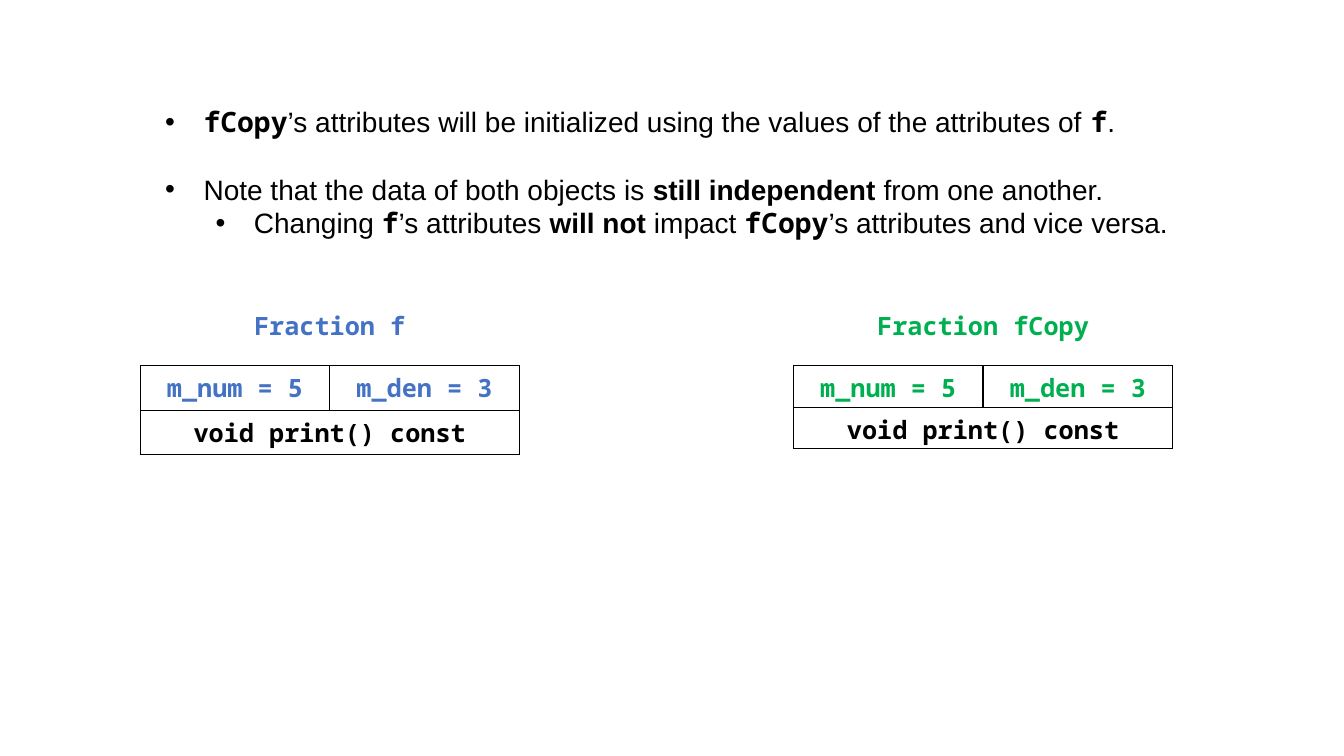
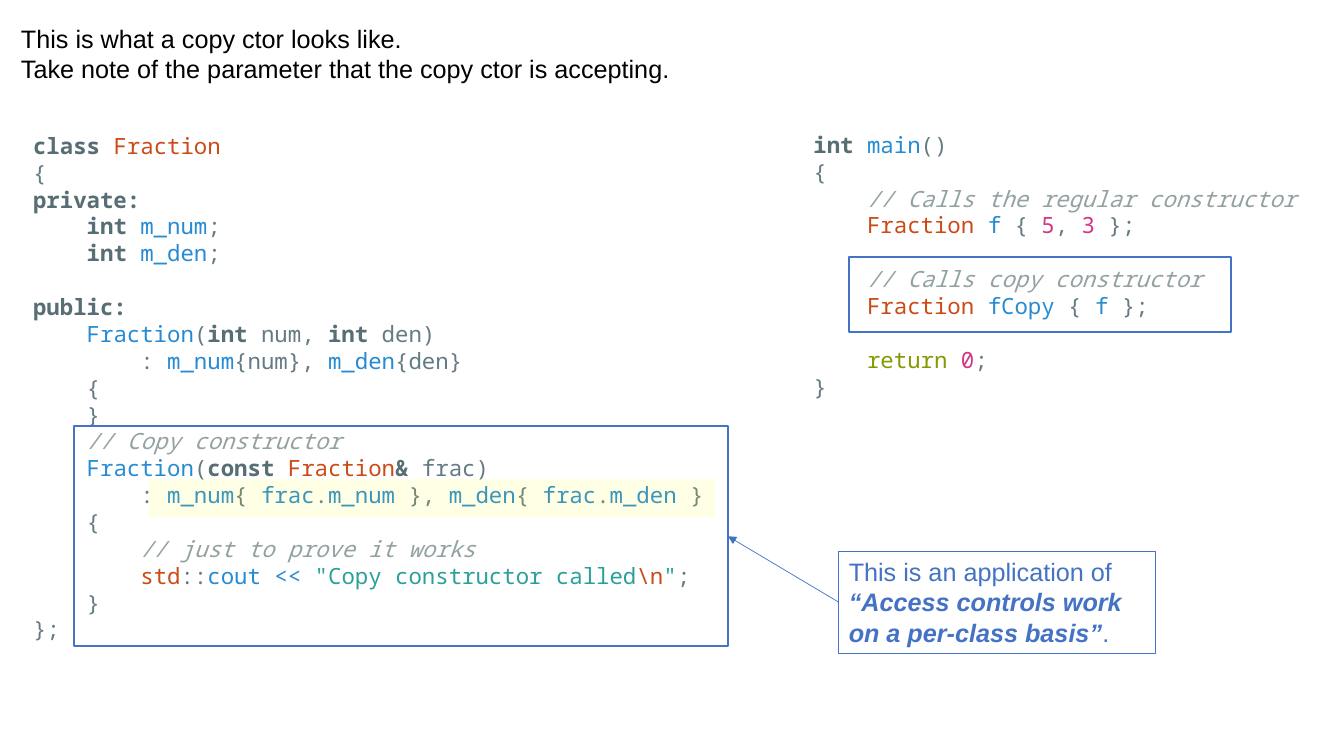
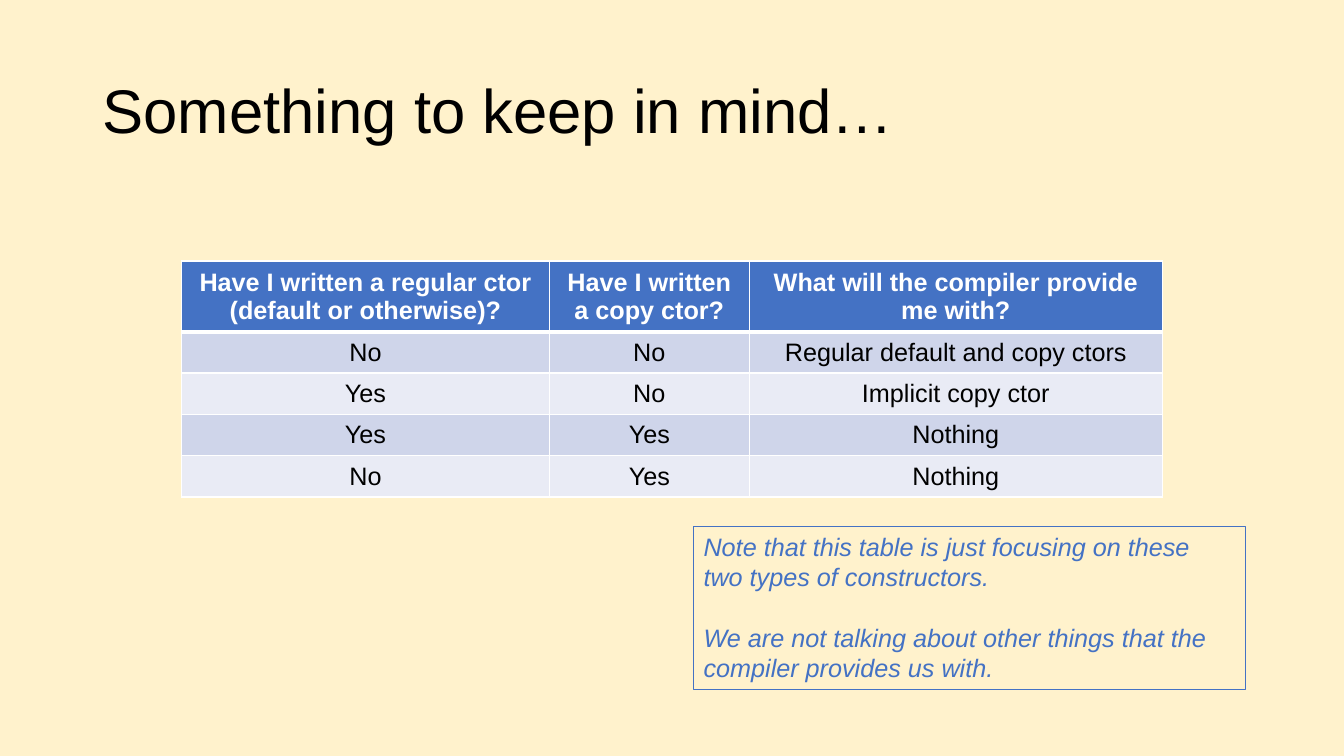
from dataclasses import dataclass

from lxml.etree import SubElement
from pptx import Presentation
from pptx.dml.color import RGBColor
from pptx.enum.shapes import MSO_CONNECTOR, MSO_SHAPE
from pptx.enum.text import MSO_ANCHOR, MSO_AUTO_SIZE, PP_ALIGN
from pptx.oxml.ns import qn
from pptx.util import Inches, Pt

SANS, MONO = "Arial", "Noto Sans Mono"
BLACK, WHITE, BLUE, GREEN = "000000", "FFFFFF", "4472C4", "00B050"
CREAM, YELLOW = "FFF2CC", "FFFF00"
BAND_DARK, BAND_LIGHT = "CFD5EA", "E9EBF5"
CODE_PLAIN = "657B83"
LINE_HEIGHT = 1.2

# A run is written "key:text"; runs are parted by "|"; a run with no key is plain.
RUN_STYLES = {
    "b": {"bold": True},
    "q": {"bold": True, "italic": True},
    "m": {"bold": True, "font": MONO},
    "k": {"bold": True, "color": "586E75"},
    "t": {"color": "CB4B16"},
    "n": {"color": "268BD2"},
    "c": {"color": "93A1A1", "italic": True},
    "s": {"color": "2AA198"},
    "d": {"color": "D33682"},
    "r": {"color": "859900"},
}

CLASS_CODE = [
    "k:class |t:Fraction",
    "{",
    "k:private:",
    "    |k:int |n:m_num|;",
    "    |k:int |n:m_den|;",
    "",
    "k:public:",
    "    |n:Fraction|(|k:int| num, |k:int| den)",
    "        : |n:m_num|{num}, |n:m_den|{den}",
    "    {",
    "    }",
    "c:    // Copy constructor",
    "    |n:Fraction|(|k:const |t:Fraction|k:&| frac)",
    "        : |n:m_num|{ |n:frac|.|n:m_num| }, |n:m_den|{ |n:frac|.|n:m_den| }",
    "    {",
    "c:        // just to prove it works",
    '        |t:std|::|n:cout << |s:"Copy constructor called|t:\\n|s:"|;',
    "    }",
    "};",
]

MAIN_CODE = [
    "k:int |n:main|()",
    "{",
    "c:    // Calls the regular constructor",
    "    |t:Fraction |n:f| { |d:5|, |d:3| };",
    "",
    "c:    // Calls copy constructor",
    "    |t:Fraction |n:fCopy| { |n:f| };",
    "",
    "    |r:return |d:0|;",
    "}",
]


@dataclass
class Bullet:
    text: str
    level: int = 0


def rgb(color):
    return RGBColor.from_string(color)


def write(frame, lines, size=18, color=BLACK, font=SANS, bold=False, italic=False,
          align=PP_ALIGN.LEFT, anchor=MSO_ANCHOR.TOP, spacing=None):
    """Fill a text frame; an empty line becomes space before the next paragraph."""
    frame.vertical_anchor = anchor
    gap, paragraph = 0, None
    for line in lines:
        if line == "":
            gap += size * LINE_HEIGHT
            continue
        paragraph = frame.add_paragraph() if paragraph else frame.paragraphs[0]
        paragraph.alignment = align
        if spacing:
            paragraph.line_spacing = spacing
        if gap:
            paragraph.space_before = Pt(gap)
            gap = 0
        text = line
        if isinstance(line, Bullet):
            text = line.text
            add_bullet(paragraph, line.level)
        for part in text.split("|"):
            key, _, body = part.partition(":")
            style = {"color": color, "font": font, "bold": bold, "italic": italic}
            style.update(RUN_STYLES.get(key, {}))
            run = paragraph.add_run()
            run.text = body if key in RUN_STYLES else part
            run.font.size = Pt(size)
            run.font.name = style["font"]
            run.font.bold = style["bold"]
            run.font.italic = style["italic"]
            run.font.color.rgb = rgb(style["color"])


def add_bullet(paragraph, level):
    paragraph.level = level
    properties = paragraph._p.get_or_add_pPr()
    properties.set("marL", str(Inches(0.38 + 0.5 * level)))
    properties.set("indent", str(Inches(-0.38)))
    SubElement(properties, qn("a:buFont"), typeface=SANS)
    SubElement(properties, qn("a:buChar"), char="•")


def add_solid_fill(parent, color):
    fill = SubElement(parent, qn("a:solidFill"))
    return SubElement(fill, qn("a:srgbClr"), val=color)


def add_borders(cell, color, top=1, bottom=1):
    properties = cell._tc.get_or_add_tcPr()
    for side, width in (("L", 1), ("R", 1), ("T", top), ("B", bottom)):
        add_solid_fill(SubElement(properties, qn("a:ln" + side), w=str(Pt(width))), color)


class Deck:
    def __init__(self):
        self.presentation = Presentation()
        self.presentation.slide_width = Inches(13.33)
        self.presentation.slide_height = Inches(7.5)
        self.slide = None

    def new_slide(self, background=WHITE):
        self.slide = self.presentation.slides.add_slide(self.presentation.slide_layouts[6])
        self.slide.background.fill.solid()
        self.slide.background.fill.fore_color.rgb = rgb(background)

    def text(self, at, lines, wrap=True, grow=True, **style):
        box = self.slide.shapes.add_textbox(*map(Inches, at))
        box.text_frame.word_wrap = wrap
        if grow:
            box.text_frame.auto_size = MSO_AUTO_SIZE.SHAPE_TO_FIT_TEXT
        write(box.text_frame, lines, **style)

    def frame(self, at, line_width=1.5, lines=(), **style):
        """An outlined, unfilled rectangle, with text if given."""
        box = self.slide.shapes.add_shape(MSO_SHAPE.RECTANGLE, *map(Inches, at))
        box.shadow.inherit = False
        box.fill.background()
        box.line.color.rgb = rgb(BLUE)
        box.line.width = Pt(line_width)
        box.text_frame.word_wrap = True
        write(box.text_frame, lines, color=BLUE, **style)
        return box

    def highlight(self, at, color=YELLOW, opacity=10):
        marker = self.slide.shapes.add_shape(MSO_SHAPE.RECTANGLE, *map(Inches, at))
        marker.shadow.inherit = False
        marker.line.fill.background()
        marker.fill.solid()
        marker.fill.fore_color.rgb = rgb(color)
        tint = marker._element.spPr.find(qn("a:solidFill")).find(qn("a:srgbClr"))
        SubElement(tint, qn("a:alpha"), val=str(opacity * 1000))

    def arrow(self, source, target):
        """Run from the left side of source to the right side of target."""
        arrow = self.slide.shapes.add_connector(MSO_CONNECTOR.STRAIGHT, 0, 0, 0, 0)
        arrow.begin_connect(source, 1)
        arrow.end_connect(target, 3)
        arrow.line.color.rgb = rgb(BLUE)
        arrow.line.width = Pt(0.5)
        SubElement(arrow.line._get_or_add_ln(), qn("a:tailEnd"), type="triangle")
        SubElement(arrow._element.spPr, qn("a:effectLst"))

    def table(self, left, top, widths, heights):
        graphic = self.slide.shapes.add_table(
            len(heights), len(widths), Inches(left), Inches(top),
            Inches(sum(widths)), Inches(sum(heights)))
        table = graphic.table
        table.first_row = table.horz_banding = False
        for column, width in zip(table.columns, widths):
            column.width = Inches(width)
        for row, height in zip(table.rows, heights):
            row.height = Inches(height)
        return table

    def cell(self, cell, text, fill, border, top=1, bottom=1, **style):
        add_borders(cell, border, top, bottom)
        cell.fill.solid()
        cell.fill.fore_color.rgb = rgb(fill)
        if text:
            write(cell.text_frame, [text], align=PP_ALIGN.CENTER, **style)
            cell.vertical_anchor = style.get("anchor", MSO_ANCHOR.TOP)

    def object_diagram(self, left, name, color):
        """A named object with its two attributes and its member function."""
        width = 1.88
        table = self.table(left, 3.63, [width] * 2, [0.41] * 2)
        table.cell(1, 0).merge(table.cell(1, 1))
        members = [["m_num = 5", "m_den = 3"], ["void print() const", ""]]
        for r, row in enumerate(members):
            for c, member in enumerate(row):
                self.cell(table.cell(r, c), member, WHITE, BLACK, font=MONO,
                          bold=True, color=BLACK if r else color)
        self.text((left, 3.03, 2 * width, 0.4), [name], wrap=False, font=MONO,
                  bold=True, color=color, align=PP_ALIGN.CENTER)

    def decision_table(self, rows):
        table = self.table(1.8, 2.59, [3.65, 1.98, 4.1], [0.66] + [0.41] * 4)
        for r, row in enumerate(rows):
            header = r == 0
            fill = BLUE if header else BAND_DARK if r % 2 else BAND_LIGHT
            for c, text in enumerate(row):
                self.cell(table.cell(r, c), text, fill, WHITE,
                          top=3 if r == 1 else 1, bottom=3 if header else 1,
                          bold=header, color=WHITE if header else BLACK,
                          anchor=MSO_ANCHOR.MIDDLE)


def independent_objects(deck):
    deck.new_slide()
    deck.object_diagram(1.39, "Fraction f", BLUE)
    deck.object_diagram(7.87, "Fraction fCopy", GREEN)
    deck.text((1.54, 0.99, 10.25, 1.45), [
        Bullet("m:fCopy|’s attributes will be initialized using the values of the "
               "attributes of |m:f|."),
        "",
        Bullet("Note that the data of both objects is |b:still independent |from one another."),
        Bullet("Changing |m:f|’s attributes |b:will not |impact |m:fCopy|’s attributes "
               "and vice versa.", level=1),
    ], size=20)


def copy_constructor(deck):
    deck.new_slide()
    code = {"size": 16, "font": MONO, "color": CODE_PLAIN}
    deck.text((0.23, 1.26, 7.08, 5.22), CLASS_CODE, **code)
    deck.text((7.97, 1.25, 5.14, 2.79), MAIN_CODE, **code)
    deck.frame((8.42, 2.55, 3.79, 0.74))
    constructor = deck.frame((0.73, 4.23, 6.49, 2.18))
    deck.text((0.11, 0.18, 13.12, 0.71), [
        "This is what a copy ctor looks like.",
        "Take note of the parameter that the copy ctor is accepting.",
    ])
    remark = deck.frame((8.32, 5.47, 3.14, 1.01), 0.75, [
        "This is an application of |q:“Access controls work on a per-class basis”|."])
    deck.arrow(remark, constructor)
    deck.highlight((1.47, 4.75, 5.62, 0.38))


def provided_constructors(deck):
    deck.new_slide(CREAM)
    deck.text((0.92, 0.4, 11.5, 1.45), ["Something to keep in mind…"], grow=False,
              size=44, anchor=MSO_ANCHOR.MIDDLE, spacing=0.9)
    deck.decision_table([
        ("Have I written a regular ctor (default or otherwise)?",
         "Have I written a copy ctor?", "What will the compiler provide me with?"),
        ("No", "No", "Regular default and copy ctors"),
        ("Yes", "No", "Implicit copy ctor"),
        ("Yes", "Yes", "Nothing"),
        ("No", "Yes", "Nothing"),
    ])
    deck.frame((6.88, 5.22, 5.47, 1.62), 0.75, [
        "Note that this table is just focusing on these two types of constructors.",
        "",
        "We are not talking about other things that the compiler provides us with.",
    ], italic=True)


def main():
    deck = Deck()
    independent_objects(deck)
    copy_constructor(deck)
    provided_constructors(deck)
    deck.presentation.save("out.pptx")


if __name__ == "__main__":
    main()
